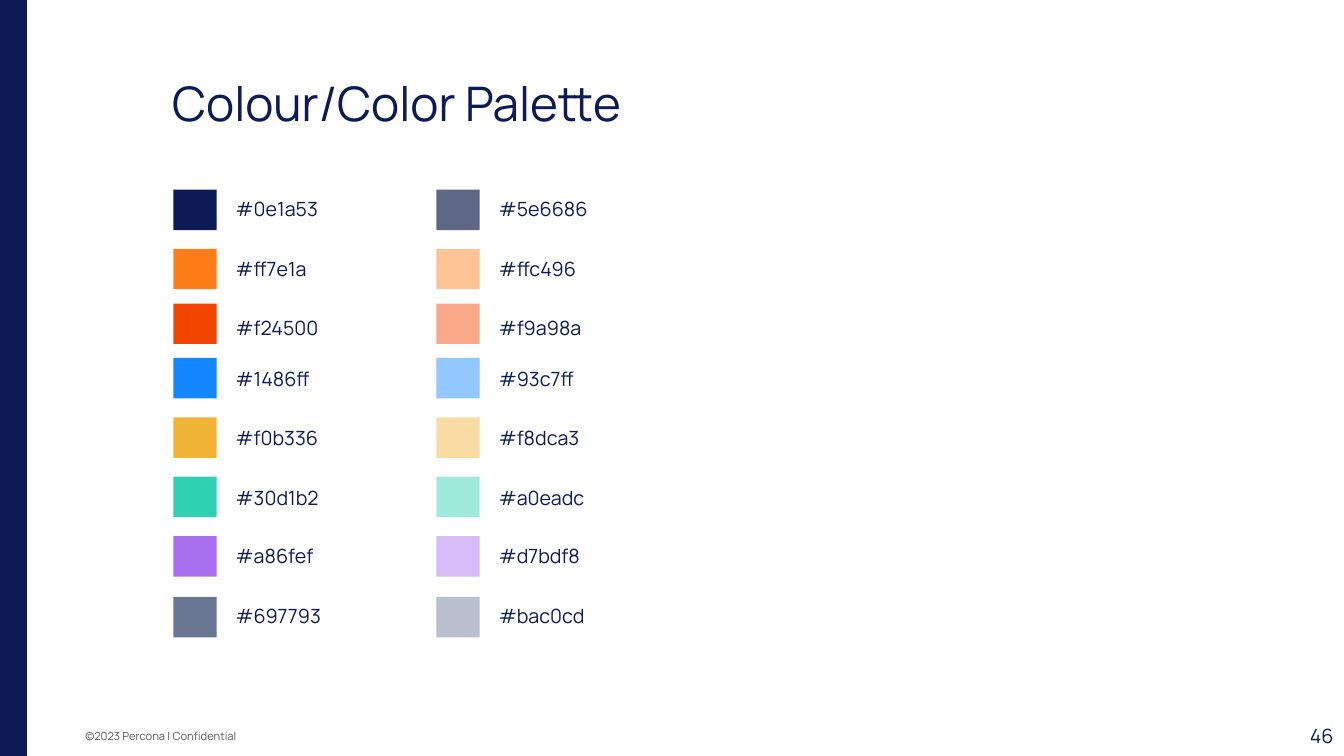
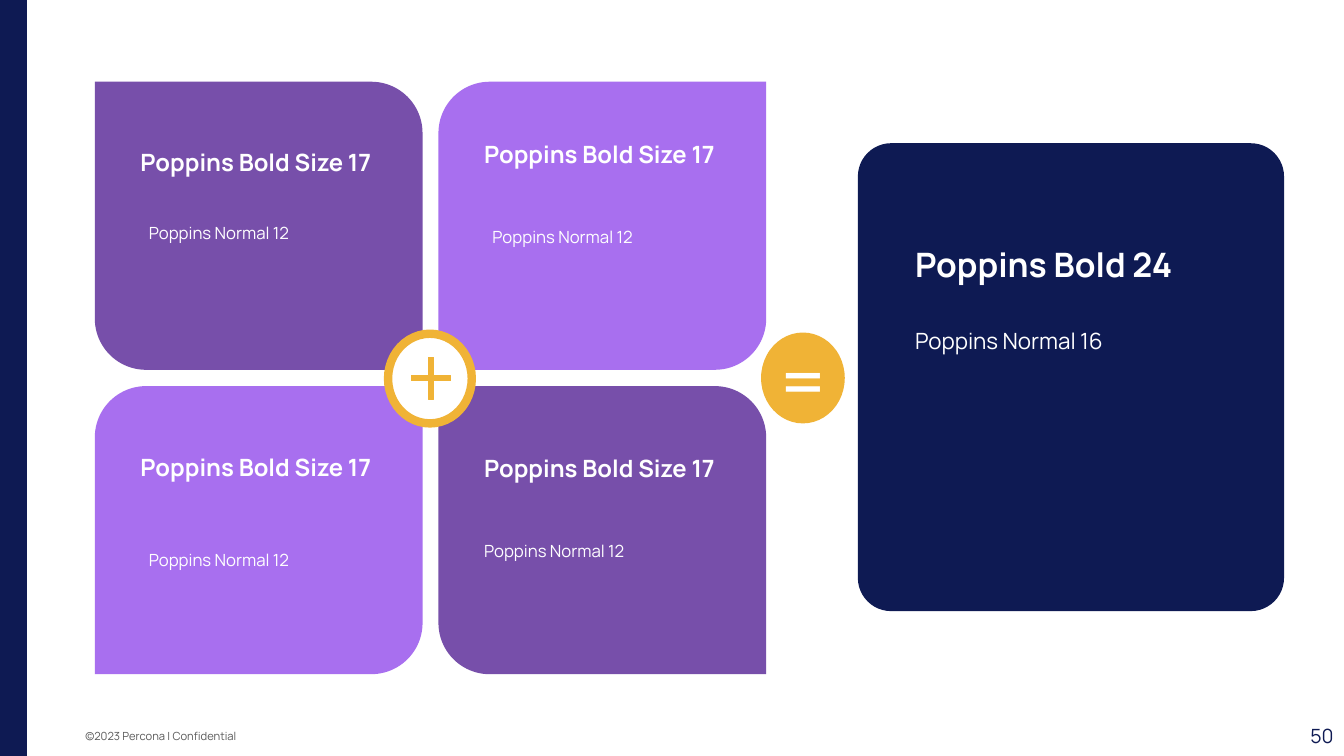
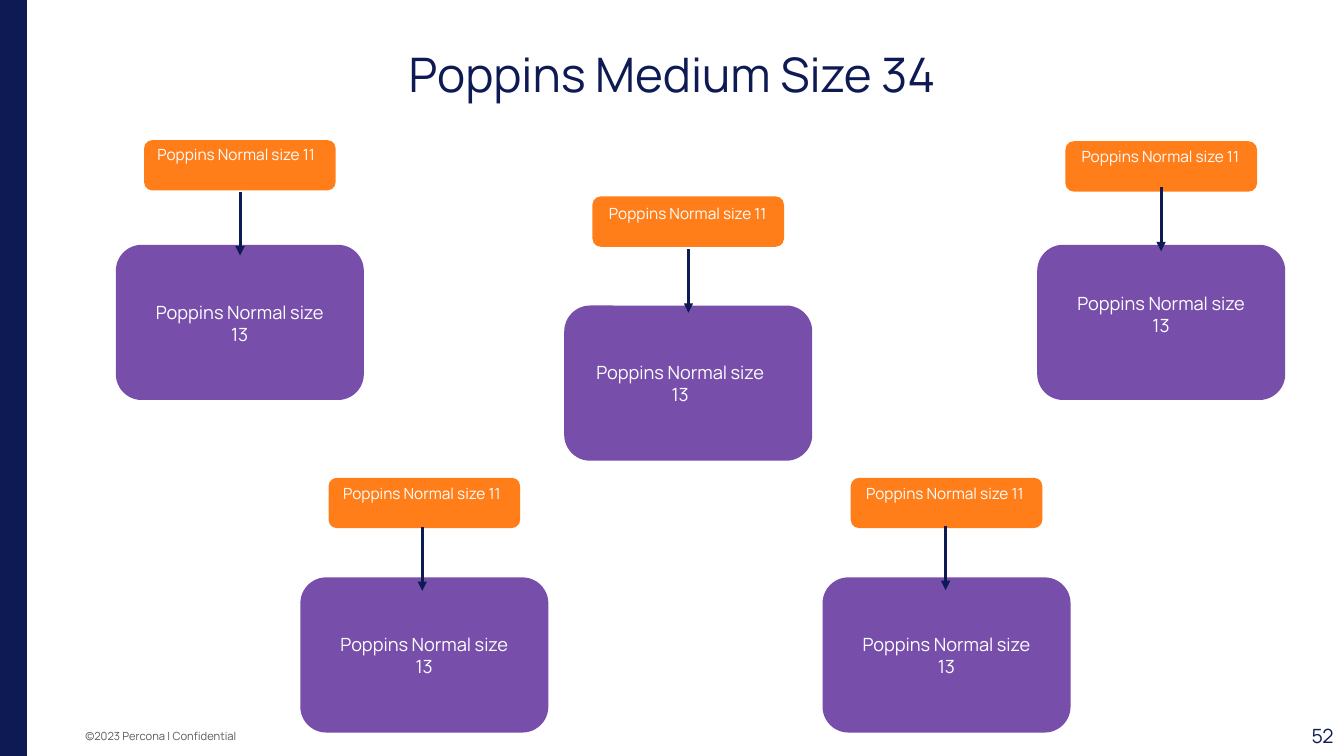
import pptx
import pptx.dml.color
import pptx.enum.shapes
import pptx.enum.text
import pptx.oxml
import pptx.oxml.ns
import pptx.util
from pptx.util import Cm, Pt

FONT = "Manrope"
NAVY, WHITE, GREY = "0E1A53", "FFFFFF", "595959"
ORANGE, GOLD, PURPLE, LILAC = "FF7E1A", "F0B336", "774FAA", "A86FEF"

SHAPE = pptx.enum.shapes.MSO_SHAPE
ALIGN = pptx.enum.text.PP_ALIGN
ANCHOR = pptx.enum.text.MSO_ANCHOR
color = pptx.dml.color.RGBColor.from_string


def add_block(slide, kind, box, fill, line=None, line_width=0, adjustments=()):
    shape = slide.shapes.add_shape(kind, *map(Cm, box))
    shape.shadow.inherit = False
    shape.fill.solid()
    shape.fill.fore_color.rgb = color(fill)
    if line:
        shape.line.color.rgb = color(line)
        shape.line.width = Pt(line_width)
    else:
        shape.line.fill.background()
    for index, value in enumerate(adjustments):
        shape.adjustments[index] = value
    return shape


def write_text(shape, text, size, fill=NAVY, align=ALIGN.LEFT, anchor=ANCHOR.TOP,
               inset=(0.25, 0.25), bold=False, spacing=1.0, font=FONT):
    """Fill a shape with one paragraph; inset is horizontal, vertical in cm."""
    frame = shape.text_frame
    frame.text = text
    frame.word_wrap = True
    frame.auto_size = pptx.enum.text.MSO_AUTO_SIZE.NONE
    frame.vertical_anchor = anchor
    frame.margin_left = frame.margin_right = Cm(inset[0])
    frame.margin_top = frame.margin_bottom = Cm(inset[1])
    paragraph = frame.paragraphs[0]
    paragraph.alignment = align
    paragraph.line_spacing = spacing
    run_font = paragraph.runs[0].font
    run_font.name = font
    run_font.size = Pt(size)
    run_font.bold = bold
    run_font.color.rgb = color(fill)


presentation = pptx.Presentation()
presentation.slide_width = Cm(33.87)
presentation.slide_height = Cm(19.05)
title_only, blank = presentation.slide_layouts[5], presentation.slide_layouts[6]

# Shared band, footer, page number and title
pages = [
    ("46", "Colour/Color Palette", (4.09, 1.47), ALIGN.LEFT),
    ("50", None, None, None),
    ("52", "Poppins Medium Size 34", (2.92, 0.76), ALIGN.CENTER),
]
for number, title, position, align in pages:
    slide = presentation.slides.add_slide(title_only if title else blank)
    add_block(slide, SHAPE.RECTANGLE, (-0.18, -0.2, 0.86, 19.48), NAVY)
    footer = slide.shapes.add_textbox(Cm(1.9), Cm(18.19), Cm(12.37), Cm(0.74))
    write_text(footer, "©2023 Percona | Confidential", 8, GREY, anchor=ANCHOR.MIDDLE)
    page_number = slide.shapes.add_textbox(Cm(29.62), Cm(18.03), Cm(4.24), Cm(1.02))
    write_text(page_number, number, 14, align=ALIGN.RIGHT, anchor=ANCHOR.MIDDLE,
               inset=(0.25, 0.13))
    if title:
        heading = slide.shapes.title
        heading.left, heading.top = map(Cm, position)
        heading.width, heading.height = Cm(28.04), Cm(2.39)
        write_text(heading, title, 34, align=align, anchor=ANCHOR.MIDDLE,
                   inset=(0.25, 0.13), spacing=0.9)

palette_slide, sum_slide, flow_slide = presentation.slides

# Palette: swatch top, label top, strong color, soft color
palette = [
    (4.78, 4.72, "0e1a53", "5e6686"),
    (6.27, 6.22, "ff7e1a", "ffc496"),
    (7.65, 7.70, "f24500", "f9a98a"),
    (9.02, 8.99, "1486ff", "93c7ff"),
    (10.52, 10.49, "f0b336", "f8dca3"),
    (12.01, 11.99, "30d1b2", "a0eadc"),
    (13.51, 13.46, "a86fef", "d7bdf8"),
    (15.04, 14.96, "697793", "bac0cd"),
]
for swatch_top, label_top, *swatches in palette:
    for left, swatch in zip((4.37, 11.0), swatches):
        add_block(palette_slide, SHAPE.RECTANGLE, (left, swatch_top, 1.09, 1.02), swatch)
        label = palette_slide.shapes.add_textbox(
            Cm(left + 1.32), Cm(label_top), Cm(3.07), Cm(1.12))
        write_text(label, "#" + swatch, 14)

# Sum: column, row, heading offset, body left offset, body top offset
cards = [
    (0, 0, 1.34, 1.03, 3.15),
    (1, 0, 1.12, 1.03, 3.25),
    (0, 1, 1.34, 1.03, 3.71),
    (1, 1, 1.37, 0.82, 3.50),
]
sum_texts = [
    ((22.73, 5.82, 9.22, 2.26), "Poppins Bold 24", 24, True),
    ((22.73, 7.82, 9.22, 4.24), "Poppins Normal 16", 16, False),
]
for column, row, heading_top, body_left, body_top in cards:
    left, top = 2.39 + column * 8.66, 2.06 + row * 7.67
    on_diagonal = column == row
    add_block(sum_slide, SHAPE.ROUND_2_DIAG_RECTANGLE, (left, top, 8.26, 7.26),
              PURPLE if on_diagonal else LILAC,
              adjustments=(0, 0.178) if on_diagonal else (0.178, 0))
    sum_texts += [
        ((left + 0.82, top + heading_top, 7.09, 2.13), "Poppins Bold Size 17", 17, True),
        ((left + body_left, top + body_top, 6.17, 1.4), "Poppins Normal 12", 12, False),
    ]
add_block(sum_slide, SHAPE.ROUNDED_RECTANGLE, (21.62, 3.61, 10.74, 11.79), NAVY,
          adjustments=(0.078,))
for box, text, size, bold in sum_texts:
    text_box = sum_slide.shapes.add_textbox(*map(Cm, box))
    write_text(text_box, text, size, WHITE, inset=(0.33, 0.33), bold=bold,
               spacing=1.0 if bold else 1.15)

add_block(sum_slide, SHAPE.OVAL, (9.78, 8.41, 2.11, 2.26), WHITE, GOLD, 6)
add_block(sum_slide, SHAPE.MATH_PLUS, (10.19, 8.81, 1.35, 1.45), GOLD, GOLD, 0.75, (0.099,))
add_block(sum_slide, SHAPE.OVAL, (19.18, 8.38, 2.11, 2.29), GOLD)
equals = add_block(sum_slide, SHAPE.RECTANGLE, (19.46, 8.76, 1.35, 1.45), GOLD)
write_text(equals, "=", 60, WHITE, anchor=ANCHOR.MIDDLE, font="Calibri")

# Flow: box position, tag top, arrow start, tag label position, box label position
steps = [
    ((2.92, 6.17), 3.53, (6.05, 4.83), (3.63, 3.40), (3.45, 7.34)),
    ((14.22, 7.70), 4.95, (17.35, 6.27), (15.01, 4.90), (14.55, 8.86)),
    ((26.14, 6.17), 3.56, (29.26, 4.72), (26.92, 3.45), (26.67, 7.11)),
    ((7.57, 14.55), 12.04, (10.64, 13.28), (8.31, 11.94), (8.10, 15.72)),
    ((20.73, 14.55), 12.04, (23.83, 13.26), (21.49, 11.94), (21.26, 15.72)),
]
for (left, top), tag_top, (arrow_x, arrow_top), tag_label, box_label in steps:
    for box, fill in [((left, top, 6.25, 3.91), PURPLE),
                      ((left + 0.71, tag_top, 4.83, 1.27), ORANGE)]:
        add_block(flow_slide, SHAPE.ROUNDED_RECTANGLE, box, fill, adjustments=(0.167,))
    for position, extent, size in [(tag_label, (4.65, 1.45), 11),
                                   (box_label, (5.18, 1.63), 13)]:
        label = flow_slide.shapes.add_textbox(*map(Cm, position + extent))
        write_text(label, f"Poppins Normal size {size}", size, WHITE, ALIGN.CENTER)
    arrow = flow_slide.shapes.add_connector(
        pptx.enum.shapes.MSO_CONNECTOR.STRAIGHT,
        Cm(arrow_x), Cm(arrow_top), Cm(arrow_x), Cm(arrow_top + 1.61))
    arrow.line.color.rgb = color(NAVY)
    arrow.line.width = Pt(2.25)
    properties = arrow.element.spPr
    outline = properties.find(pptx.oxml.ns.qn("a:ln"))
    namespace = pptx.oxml.ns.nsdecls("a")
    outline.append(pptx.oxml.parse_xml(f'<a:tailEnd {namespace} type="triangle"/>'))
    properties.append(pptx.oxml.parse_xml(f"<a:effectLst {namespace}/>"))

presentation.save("out.pptx")
